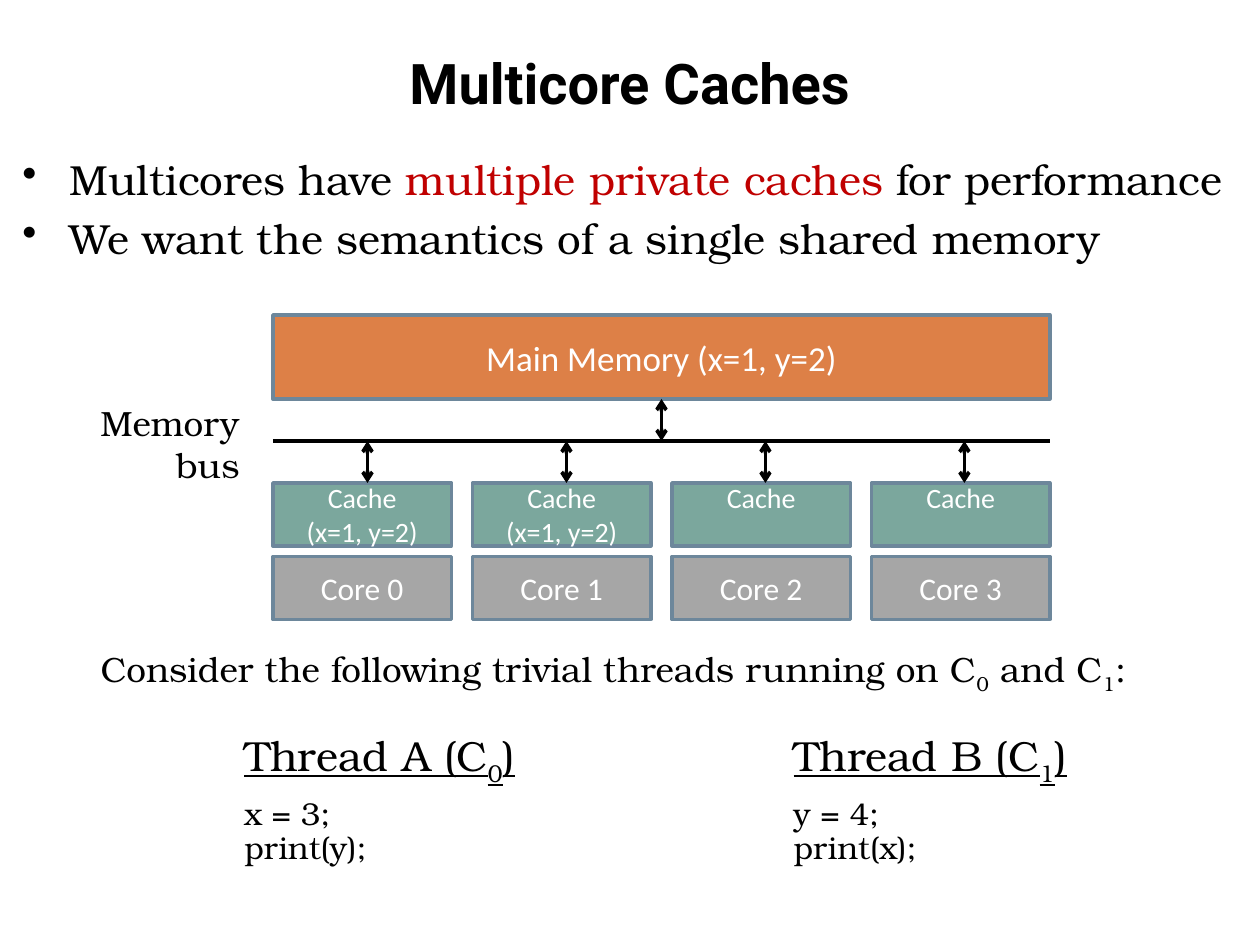
import dataclasses
import typing

import lxml.etree
import pptx
import pptx.dml.color
import pptx.enum.shapes
import pptx.enum.text
import pptx.oxml.ns
import pptx.util

Pt = pptx.util.Pt
qn = pptx.oxml.ns.qn
Align = pptx.enum.text.PP_ALIGN
Anchor = pptx.enum.text.MSO_ANCHOR
SERIF = "TeX Gyre Bonum"
SANS = "Calibri"
BLACK = "000000"
WHITE = "FFFFFF"
RED = "C00000"


class Box(typing.NamedTuple):
    left: float
    top: float
    width: float
    height: float


@dataclasses.dataclass
class Run:
    text: str
    color: str = BLACK
    sub: bool = False
    line: bool = False
    bold: bool = False


@dataclasses.dataclass
class Para:
    runs: list[Run]
    size: float
    font: str = SERIF
    align: Align = Align.LEFT
    before: float = 0
    space: float = 1
    bullet: bool = False


@dataclasses.dataclass
class Thread:
    left: float
    name: str
    core: str
    code: list[str]


def paint(target, color: str) -> None:
    target.rgb = pptx.dml.color.RGBColor.from_string(color)


def write(frame, paras: list[Para], anchor=Anchor.TOP, wrap: bool = True) -> None:
    frame.word_wrap = wrap
    frame.vertical_anchor = anchor
    for index, para in enumerate(paras):
        item = frame.paragraphs[0] if index == 0 else frame.add_paragraph()
        item.alignment = para.align
        item.line_spacing = para.space
        if index:
            item.space_before = Pt(para.before)
        if para.bullet:
            props = item._p.get_or_add_pPr()
            props.set("marL", str(Pt(27)))
            props.set("indent", str(Pt(-27)))
            lxml.etree.SubElement(props, qn("a:buChar")).set("char", "•")
        for part in para.runs:
            if part.text == "\n":
                item.add_line_break()
                continue
            run = item.add_run()
            run.text = part.text
            font = run.font
            font.name = para.font
            font.size = Pt(para.size)
            font.bold = part.bold
            font.underline = part.line
            paint(font.color, part.color)
            if part.sub:
                run._r.get_or_add_rPr().set("baseline", "-25000")


def add_text(slide, box: Box, paras: list[Para], anchor=Anchor.TOP, wrap: bool = True) -> None:
    shape = slide.shapes.add_textbox(*map(Pt, box))
    write(shape.text_frame, paras, anchor, wrap)


def add_block(slide, box: Box, fill: str, lines: list[str], size: float, foot: float = 3.6) -> None:
    kind = pptx.enum.shapes.MSO_SHAPE.RECTANGLE
    shape = slide.shapes.add_shape(kind, *map(Pt, box))
    shape.shadow.inherit = False
    shape.fill.solid()
    paint(shape.fill.fore_color, fill)
    paint(shape.line.color, "6D879B")
    shape.line.width = Pt(2)
    shape.text_frame.margin_bottom = Pt(foot)
    paras = [Para([Run(text, WHITE)], size, SANS, Align.CENTER) for text in lines]
    write(shape.text_frame, paras, Anchor.MIDDLE)


def add_line(slide, start: tuple[float, float], end: tuple[float, float], arrow: bool = False) -> None:
    kind = pptx.enum.shapes.MSO_CONNECTOR.STRAIGHT
    line = slide.shapes.add_connector(kind, *map(Pt, start + end))
    paint(line.line.color, BLACK)
    line.line.width = Pt(2)
    if arrow:
        stroke = line.line._get_or_add_ln()
        for tag in ("a:headEnd", "a:tailEnd"):
            lxml.etree.SubElement(stroke, qn(tag)).set("type", "arrow")
    lxml.etree.SubElement(line._element.spPr, qn("a:effectLst"))


def add_chip(slide) -> None:
    left, wide, bus = 156, 444, 252
    add_block(slide, Box(left, 180, wide, 48), "DD8047", ["Main Memory (x=1, y=2)"], 20)
    for core in range(4):
        side = left + 114 * core
        full = core < 2
        lines = ["Cache", "(x=1, y=2)"] if full else ["Cache"]
        add_block(slide, Box(side, 318, 102, 36), "A6A6A6", [f"Core {core}"], 18)
        add_block(slide, Box(side, 276, 102, 36), "7BA79D", lines, 16, 3.6 if full else 23)
        mid = 210 + 113.7 * core
        add_line(slide, (mid, 276), (mid, bus), True)
    add_line(slide, (left, bus), (left + wide, bus))
    add_line(slide, (378, bus), (378, 228), True)


def add_thread(slide, thread: Thread) -> None:
    head = [
        Run(f"Thread {thread.name} (C", line=True),
        Run(thread.core, sub=True, line=True),
        Run(")", line=True),
    ]
    first, last = thread.code
    code = [Run(first), Run("\n"), Run(last)]
    paras = [Para(head, 24, space=0.9), Para(code, 18, before=9, space=0.9)]
    add_text(slide, Box(thread.left, 414, 207, 83.5), paras)


def main() -> None:
    deck = pptx.Presentation()
    deck.slide_width, deck.slide_height = Pt(720), Pt(540)
    slide = deck.slides.add_slide(deck.slide_layouts[6])
    title = Para([Run("Multicore Caches", bold=True)], 32, "Roboto", Align.CENTER)
    add_text(slide, Box(36, 21.6, 648, 50.4), [title], Anchor.MIDDLE)
    points = [
        [Run("Multicores have "), Run("multiple private caches ", RED), Run("for performance")],
        [Run("We want the semantics of a single shared memory")],
    ]
    paras = [Para(runs, 24, before=4.8, bullet=True) for runs in points]
    add_text(slide, Box(5.76, 84.24, 708, 432), paras)
    add_chip(slide)
    label = [Para([Run(word)], 20, align=Align.RIGHT) for word in ("Memory", "bus")]
    add_text(slide, Box(49, 226, 95, 55.4), label, wrap=False)
    intro = [
        Run("Consider the following trivial threads running on C"),
        Run("0", sub=True),
        Run(" and C"),
        Run("1", sub=True),
        Run(":"),
    ]
    add_text(slide, Box(50.4, 368, 606, 31.7), [Para(intro, 20)], Anchor.MIDDLE)
    for thread in (
        Thread(132.5, "A", "0", ["x = 3;", "print(y);"]),
        Thread(446.4, "B", "1", ["y = 4;", "print(x);"]),
    ):
        add_thread(slide, thread)
    deck.save("out.pptx")


if __name__ == "__main__":
    main()
